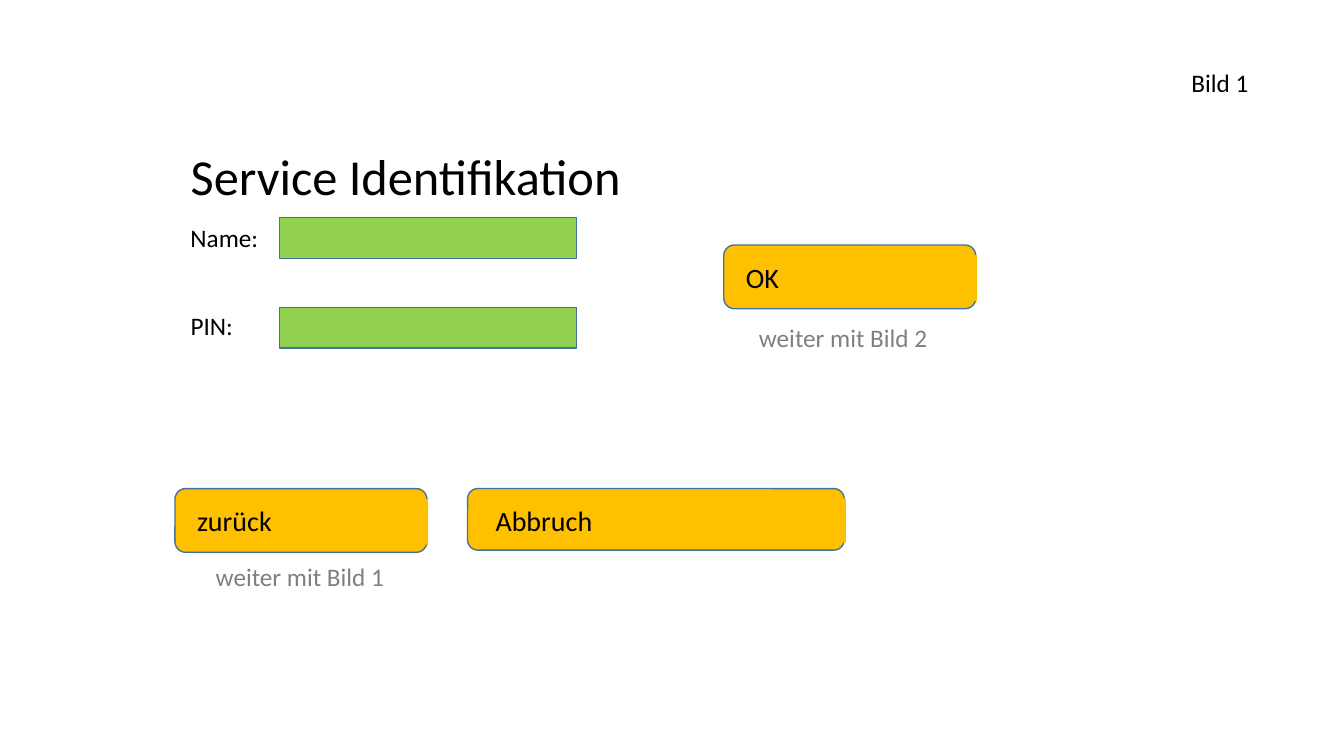
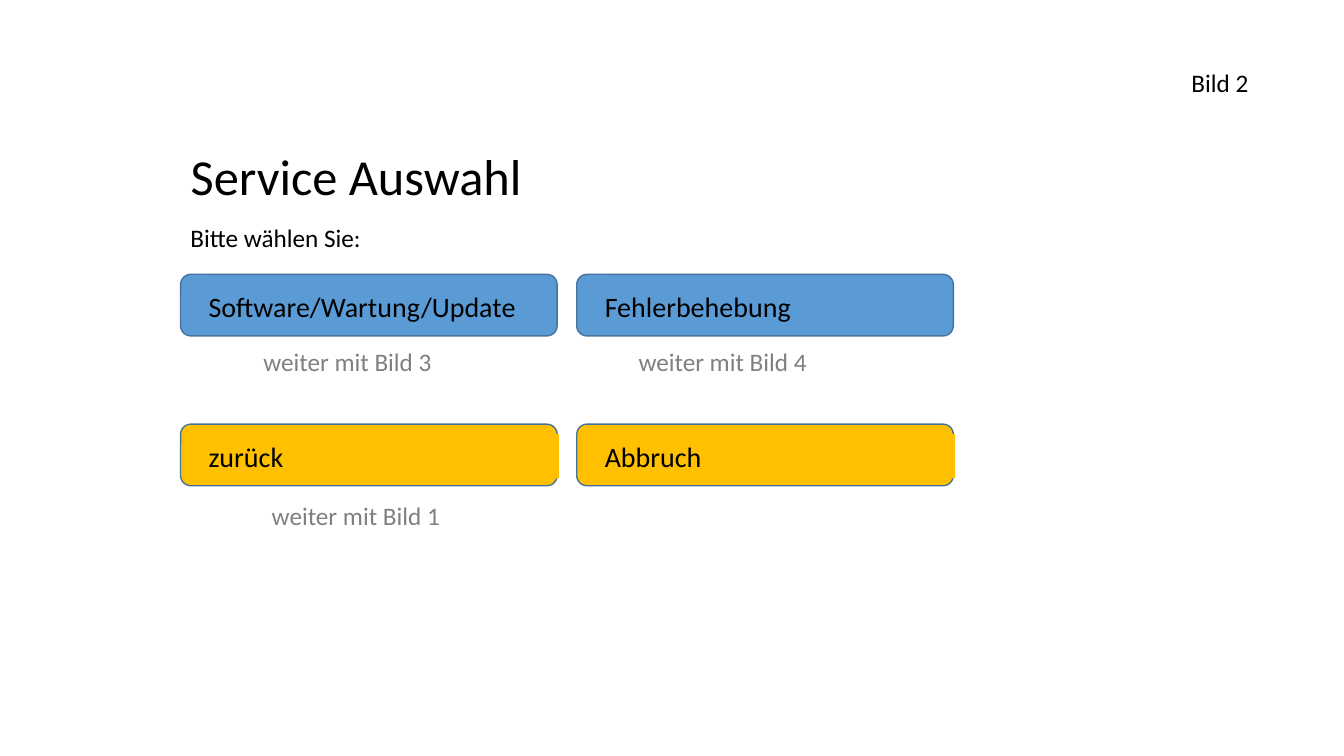
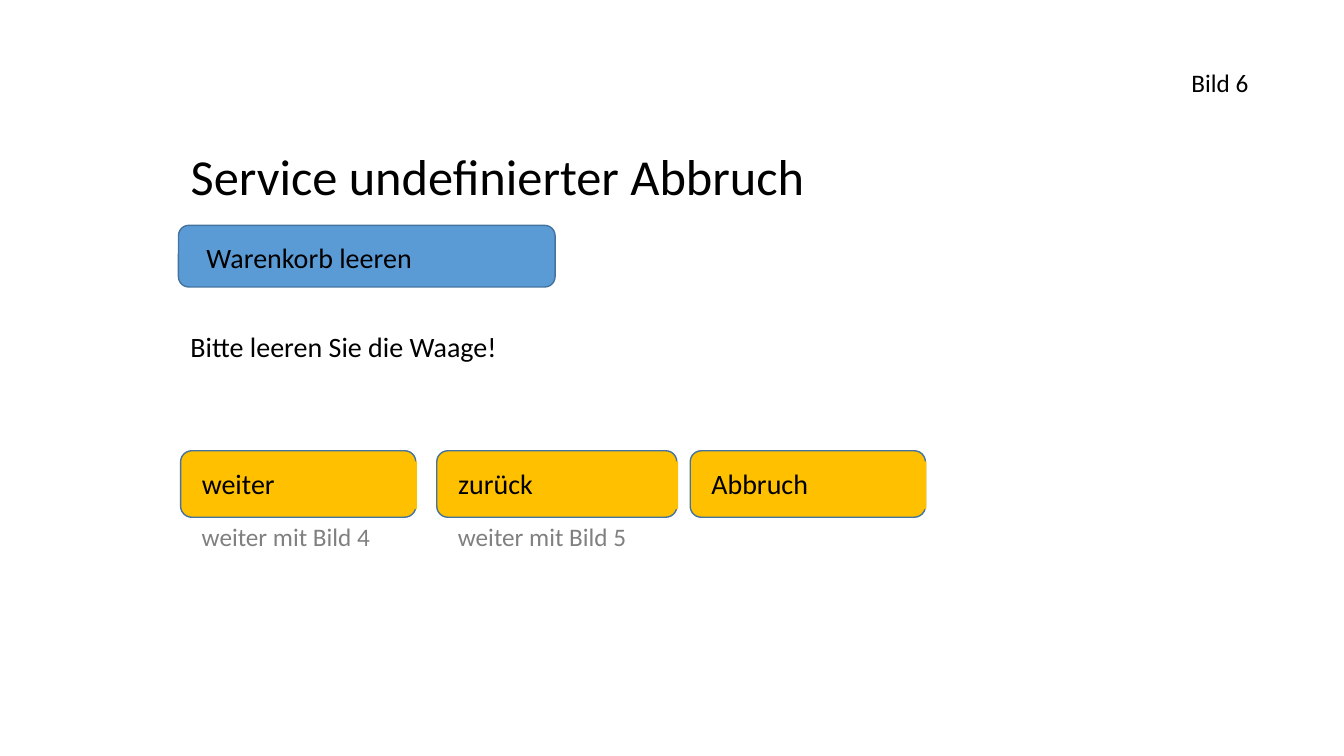
from pptx import Presentation
from pptx.dml.color import RGBColor
from pptx.enum.shapes import MSO_SHAPE
from pptx.enum.text import MSO_ANCHOR, MSO_AUTO_SIZE, PP_ALIGN
from pptx.util import Pt

RECT = MSO_SHAPE.RECTANGLE
ROUNDED = MSO_SHAPE.ROUNDED_RECTANGLE
LEFT = PP_ALIGN.LEFT
TOP = MSO_ANCHOR.TOP
NO_AUTOFIT = MSO_AUTO_SIZE.NONE
TITLE_ONLY = 5

FONT = "Calibri"
BLACK, GREY, OUTLINE = "000000", "808080", "43739E"
ORANGE, BLUE, GREEN = "FFC000", "5B9BD5", "92D050"

MARGIN = 129
WIDE = (269, 44)
MEDIUM = (180, 45.5)


def rgb(value):
    return RGBColor.from_string(value)


def write(shape, text, size, color=BLACK):
    frame = shape.text_frame
    frame.text = text
    frame.word_wrap = True
    frame.auto_size = NO_AUTOFIT
    frame.vertical_anchor = TOP
    frame.margin_left = frame.margin_right = Pt(7.2)
    frame.margin_top = frame.margin_bottom = Pt(3.6)
    paragraph = frame.paragraphs[0]
    paragraph.alignment = LEFT
    paragraph.font.name = FONT
    paragraph.font.size = Pt(size)
    paragraph.font.color.rgb = rgb(color)


def add_text(slide, text, left, top, width, size=18, color=BLACK):
    height = 1.2 * size + 7.2
    box = slide.shapes.add_textbox(Pt(left), Pt(top), Pt(width), Pt(height))
    write(box, text, size, color)


def add_hint(slide, target, left, top):
    """Grey note naming the screen that follows."""
    add_text(slide, f"weiter mit Bild {target}", left, top, 137, color=GREY)


def add_box(shapes, kind, left, top, width, height, fill, line=OUTLINE):
    box = shapes.add_shape(kind, Pt(left), Pt(top), Pt(width), Pt(height))
    box.shadow.inherit = False
    box.fill.solid()
    box.fill.fore_color.rgb = rgb(fill)
    if line:
        box.line.color.rgb = rgb(line)
        box.line.width = Pt(1)
    else:
        box.line.fill.background()
    return box


def add_button(slide, text, left, top, size=WIDE, fill=ORANGE):
    """Rounded button grouped with its label; orange labels are filled too."""
    width, height = size
    shapes = slide.shapes.add_group_shape().shapes
    add_box(shapes, ROUNDED, left, top, width, height, fill)
    area = (left + 0.048 * width, top + 0.16 * height,
            0.957 * width, 0.72 * height)
    if fill == ORANGE:
        label = add_box(shapes, RECT, *area, fill, line=None)
    else:
        label = shapes.add_textbox(*map(Pt, area))
    write(label, text, 20)


def add_screen(prs, number, title):
    slide = prs.slides.add_slide(prs.slide_layouts[TITLE_ONLY])
    heading = slide.shapes.title
    heading.left, heading.top = Pt(MARGIN), Pt(100)
    heading.width, heading.height = Pt(470), Pt(51)
    write(heading, title, 36)
    add_text(slide, f"Bild {number}", 844, 44.5, 60)
    return slide


def build_identification(prs):
    slide = add_screen(prs, 1, "Service Identifikation")
    for caption, width, caption_top, field_top in (
        ("Name:", 205, 155.5, 155.5),
        ("PIN:", 46, 218, 219.5),
    ):
        add_text(slide, caption, MARGIN, caption_top, width)
        add_box(slide.shapes, RECT, 199.5, field_top, 212.5, 29, GREEN)
    add_button(slide, "OK", 517, 175, MEDIUM)
    add_hint(slide, 2, 535, 227)
    add_button(slide, "zurück", 125, 349, MEDIUM)
    add_hint(slide, 1, 147, 397.5)
    add_button(slide, "Abbruch", 334, 349)


def build_selection(prs):
    slide = add_screen(prs, 2, "Service Auswahl")
    add_text(slide, "Bitte wählen Sie:", MARGIN, 155.5, 205)
    rows = (
        (196, BLUE, ("Software/Wartung/Update", "Fehlerbehebung")),
        (303, ORANGE, ("zurück", "Abbruch")),
    )
    for top, fill, labels in rows:
        for column, label in enumerate(labels):
            add_button(slide, label, MARGIN + column * 283, top, fill=fill)
    for target, left, top in ((3, 181, 243.5), (4, 449, 243.5), (1, 187, 354)):
        add_hint(slide, target, left, top)


def build_abort(prs):
    slide = add_screen(prs, 6, "Service undefinierter Abbruch")
    add_button(slide, "Warenkorb leeren", 127.5, 161, fill=BLUE)
    add_text(slide, "Bitte leeren Sie die Waage!", MARGIN, 232, 238, size=20)
    for label, left, width, target in (
        ("weiter", MARGIN, 168, 4),
        ("zurück", 312, 171.5, 5),
        ("Abbruch", 493, 168, None),
    ):
        add_button(slide, label, left, 322, (width, 47.5))
        if target:
            add_hint(slide, target, left + 8, 369)


def main():
    prs = Presentation()
    prs.slide_width, prs.slide_height = Pt(960), Pt(540)
    build_identification(prs)
    build_selection(prs)
    build_abort(prs)
    prs.save("out.pptx")


if __name__ == "__main__":
    main()
